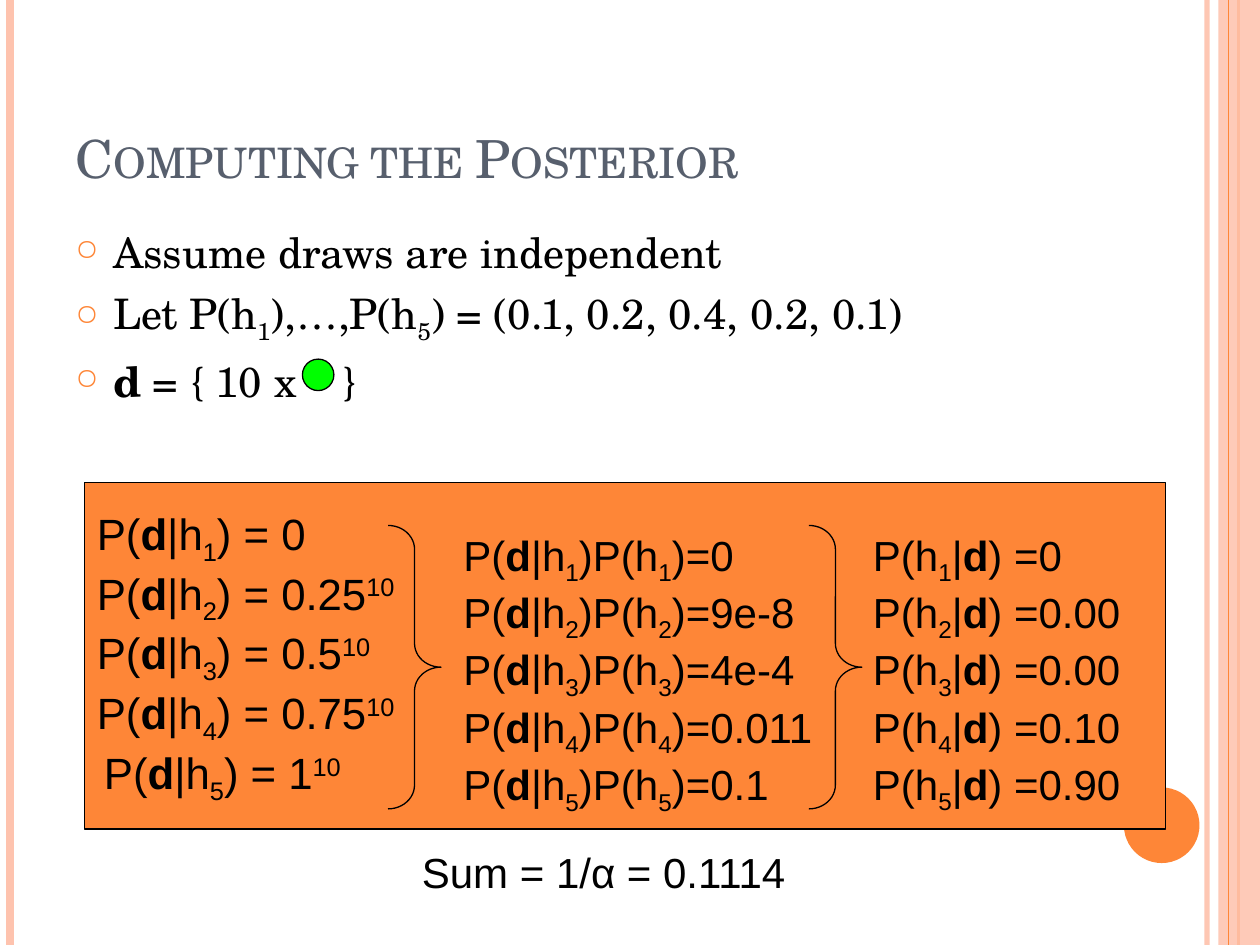
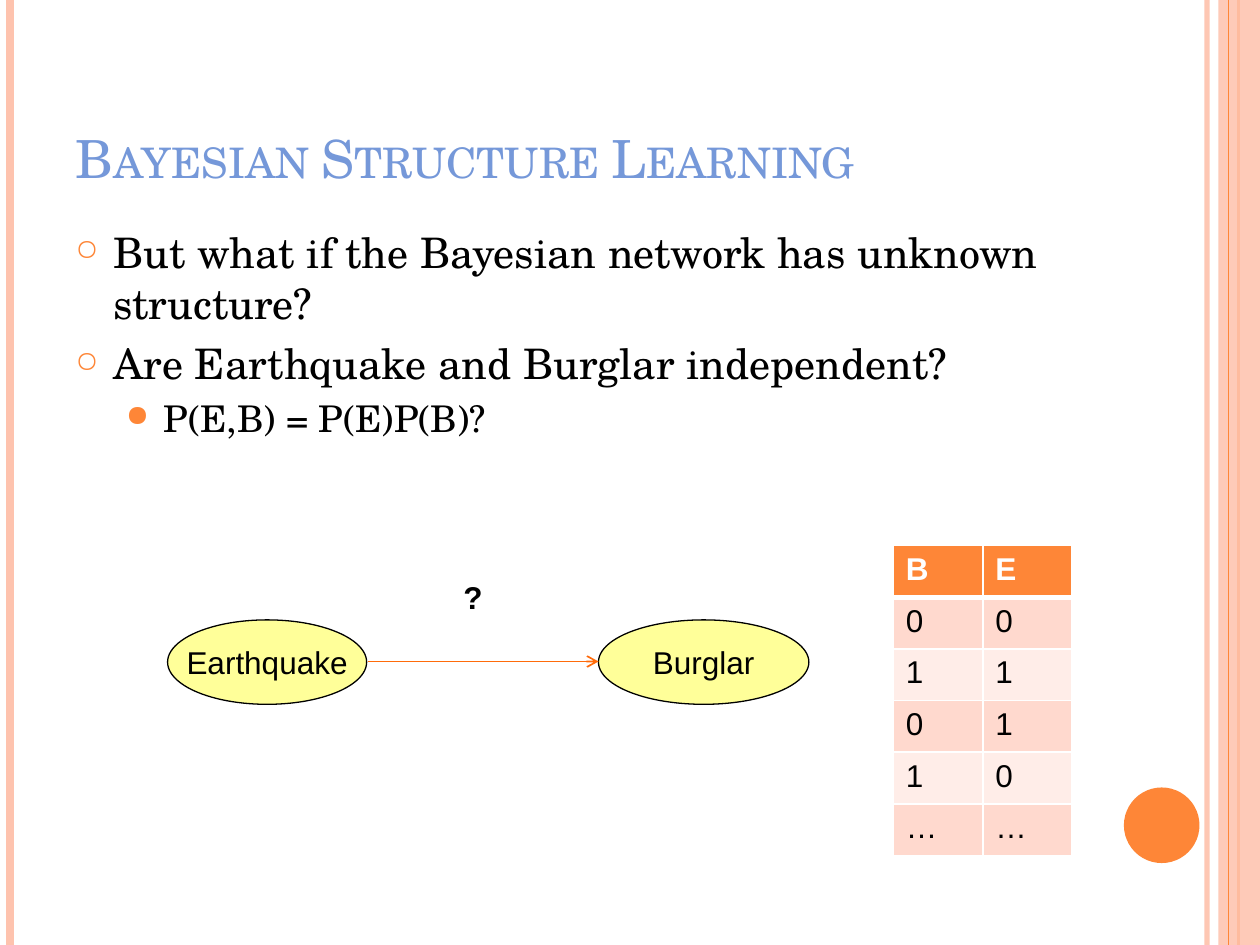
from dataclasses import dataclass

from lxml.etree import SubElement
from pptx import Presentation
from pptx.dml.color import RGBColor
from pptx.enum.shapes import MSO_CONNECTOR, MSO_SHAPE
from pptx.enum.text import MSO_ANCHOR, MSO_AUTO_SIZE, PP_ALIGN
from pptx.oxml.ns import qn
from pptx.util import Inches, Pt


@dataclass(frozen=True)
class Theme:
    heading_font: str = "TeX Gyre Schola"
    diagram_font: str = "Arial"
    orange: str = "FE8637"
    peach: str = "FEC3AE"
    arrow: str = "FF6B0A"
    slate: str = "575F6D"
    blue: str = "7598D9"
    green: str = "00FF00"
    yellow: str = "FFFF99"
    band_dark: str = "FFD9CE"
    band_light: str = "FFEDE8"
    black: str = "000000"
    white: str = "FFFFFF"
    title_size: float = 30
    body_size: float = 24
    sub_size: float = 21
    likelihood_size: float = 25
    label_size: float = 18
    outline: float = 0.75
    wide_space: int = 2000


THEME = Theme()
BASELINES = {"_": "-25000", "^": "30000"}


def color(value):
    return RGBColor.from_string(value)


def set_alpha(fill_parent, percent):
    """Make the solid fill below fill_parent partly transparent."""
    srgb = next(fill_parent.iter(qn("a:srgbClr")))
    SubElement(srgb, qn("a:alpha"), val=str(percent * 1000))


def split_markup(text):
    """Yield (piece, marks): * is bold, _ subscript, ^ superscript, ~ a wide space."""
    marks, piece = set(), ""
    for character in text:
        if character in "*_^":
            if piece:
                yield piece, frozenset(marks)
            piece = ""
            marks ^= {character}
        elif character in "~\n":
            if piece:
                yield piece, frozenset(marks)
            piece = ""
            yield character, frozenset(marks)
        else:
            piece += character
    if piece:
        yield piece, frozenset(marks)


def write_text(paragraph, text, size=THEME.body_size, font=THEME.diagram_font,
               fill=THEME.black, bold=False, small_caps=False,
               align=PP_ALIGN.LEFT):
    paragraph.alignment = align
    for piece, marks in split_markup(text):
        if piece == "\n":
            paragraph.add_line_break()
            continue
        run = paragraph.add_run()
        run.text = piece.replace("~", " ")
        run.font.name = font
        run.font.size = Pt(size)
        run.font.bold = bold or "*" in marks
        run.font.color.rgb = color(fill)
        properties = run.font._element
        if small_caps:
            properties.set("cap", "small")
        if piece == "~":
            properties.set("spc", str(THEME.wide_space))
        for mark in marks & BASELINES.keys():
            properties.set("baseline", BASELINES[mark])


def write_paragraphs(frame, texts, **text_format):
    for index, text in enumerate(texts):
        paragraph = frame.add_paragraph() if index else frame.paragraphs[0]
        write_text(paragraph, text, **text_format)


def set_bullet(paragraph, character, percent, left):
    properties = paragraph._p.get_or_add_pPr()
    properties.set("marL", str(Inches(left)))
    properties.set("indent", str(Inches(-0.3)))
    bullet_color = SubElement(properties, qn("a:buClr"))
    SubElement(bullet_color, qn("a:srgbClr"), val=THEME.orange)
    SubElement(properties, qn("a:buSzPct"), val=str(percent * 1000))
    SubElement(properties, qn("a:buChar"), char=character)


def set_cell_borders(cell, widths):
    properties = cell._tc.get_or_add_tcPr()
    for side, width in zip(("a:lnL", "a:lnR", "a:lnT", "a:lnB"), widths):
        border = SubElement(properties, qn(side), w=str(Pt(width)))
        fill = SubElement(border, qn("a:solidFill"))
        SubElement(fill, qn("a:srgbClr"), val=THEME.white)


class SlideBuilder:
    def __init__(self, presentation, theme):
        self.presentation = presentation
        self.theme = theme
        self.slide = None

    def start(self, title, title_color):
        layout = self.presentation.slide_layouts[5]
        self.slide = self.presentation.slides.add_slide(layout)
        self.side_bands()
        shape = self.slide.shapes.title
        shape.left, shape.top = Inches(0.5), Inches(0.3)
        shape.width, shape.height = Inches(8.17), Inches(1.25)
        frame = shape.text_frame
        frame.word_wrap = True
        frame.auto_size = MSO_AUTO_SIZE.NONE
        frame.vertical_anchor = MSO_ANCHOR.BOTTOM
        write_text(frame.paragraphs[0], title, size=self.theme.title_size,
                   font=self.theme.heading_font, fill=title_color,
                   small_caps=True)

    def side_bands(self):
        theme = self.theme
        inner = self.line(9.58, 0, 9.58, 7.5, theme.peach, 3)
        set_alpha(inner.line._ln, 93)
        self.line(0.08, 0, 0.08, 7.5, theme.peach, 4.5)
        self.line(9.83, 0, 9.83, 7.5, theme.orange, 1.5)
        band = self.shape(MSO_SHAPE.RECTANGLE, 9.67, 0, 0.33, 7.5,
                          theme.peach, outlined=False)
        set_alpha(band._element.spPr, 87)
        self.line(9.75, 0, 9.75, 7.5, theme.orange, 0.75)
        self.shape(MSO_SHAPE.OVAL, 8.92, 6.25, 0.6, 0.6, theme.orange,
                   outlined=False)

    def line(self, x1, y1, x2, y2, stroke, width, arrow=False):
        connector = self.slide.shapes.add_connector(
            MSO_CONNECTOR.STRAIGHT, Inches(x1), Inches(y1), Inches(x2), Inches(y2))
        connector.line.color.rgb = color(stroke)
        connector.line.width = Pt(width)
        if arrow:
            SubElement(connector.line._ln, qn("a:tailEnd"), type="arrow")
        SubElement(connector._element.spPr, qn("a:effectLst"))
        return connector

    def shape(self, kind, left, top, width, height, fill=None, outlined=True):
        shape = self.slide.shapes.add_shape(
            kind, Inches(left), Inches(top), Inches(width), Inches(height))
        shape.shadow.inherit = False
        if fill:
            shape.fill.solid()
            shape.fill.fore_color.rgb = color(fill)
        else:
            shape.fill.background()
        if outlined:
            shape.line.color.rgb = color(self.theme.black)
            shape.line.width = Pt(self.theme.outline)
        else:
            shape.line.fill.background()
        return shape

    def brace(self, left):
        brace = self.shape(MSO_SHAPE.RIGHT_BRACE, left, 4.17, 0.42, 2.25)
        brace.adjustments[0] = 0.45

    def node(self, label, left, width):
        node = self.shape(MSO_SHAPE.OVAL, left, 4.92, width, 0.67,
                          self.theme.yellow)
        frame = node.text_frame
        frame.word_wrap = False
        frame.vertical_anchor = MSO_ANCHOR.MIDDLE
        write_text(frame.paragraphs[0], label, size=self.theme.label_size,
                   align=PP_ALIGN.CENTER)

    def text_box(self, texts, left, top, width, height, **text_format):
        box = self.slide.shapes.add_textbox(
            Inches(left), Inches(top), Inches(width), Inches(height))
        box.text_frame.word_wrap = True
        write_paragraphs(box.text_frame, texts, **text_format)
        return box

    def bullets(self, items):
        """Add the body text from (level, text) pairs."""
        theme = self.theme
        frame = self.text_box([], 0.5, 1.75, 8.17, 5.33).text_frame
        for index, (level, text) in enumerate(items):
            paragraph = frame.add_paragraph() if index else frame.paragraphs[0]
            paragraph.level = level
            paragraph.space_before = Pt(4 if level else 6)
            write_text(paragraph, text, font=theme.heading_font,
                       size=theme.sub_size if level else theme.body_size)
            if level:
                set_bullet(paragraph, "●", 80, 0.7)
            else:
                set_bullet(paragraph, "○", 70, 0.3)

    def table(self, rows, left, top, column_width, row_height):
        theme = self.theme
        table = self.slide.shapes.add_table(
            len(rows), len(rows[0]), Inches(left), Inches(top),
            Inches(column_width * len(rows[0])),
            Inches(row_height * len(rows))).table
        for column in table.columns:
            column.width = Inches(column_width)
        for row_index, row in enumerate(rows):
            header = row_index == 0
            band = theme.band_dark if row_index % 2 else theme.band_light
            for column_index, text in enumerate(row):
                cell = table.cell(row_index, column_index)
                set_cell_borders(cell, (1, 1, 3 if row_index == 1 else 1,
                                        3 if header else 1))
                cell.fill.solid()
                cell.fill.fore_color.rgb = color(theme.orange if header else band)
                write_text(cell.text_frame.paragraphs[0], text,
                           size=theme.label_size, bold=header,
                           fill=theme.white if header else theme.black)


def build_posterior(builder):
    theme = builder.theme
    builder.start("Computing the Posterior", theme.slate)
    builder.bullets([
        (0, "Assume draws are independent"),
        (0, "Let P(h_1_),…,P(h_5_) = (0.1, 0.2, 0.4, 0.2, 0.1)"),
        (0, "*d* = { 10 x~}"),
    ])
    builder.shape(MSO_SHAPE.OVAL, 2.4, 2.85, 0.25, 0.25, theme.green)

    likelihoods = ["0", "0.25^10^", "0.5^10^", "0.75^10^", "1^10^"]
    joints = ["0", "9e-8", "4e-4", "0.011", "0.1"]
    posteriors = ["0", "0.00", "0.00", "0.10", "0.90"]
    likelihood_lines = [f"P(*d*|h_{number}_) = {value}"
                        for number, value in enumerate(likelihoods, 1)]
    likelihood_lines[-1] = "^ ^" + likelihood_lines[-1]
    joint_lines = [f"P(*d*|h_{number}_)P(h_{number}_)={value}"
                   for number, value in enumerate(joints, 1)]
    posterior_lines = [f"P(h_{number}_|*d*) ={value}"
                       for number, value in enumerate(posteriors, 1)]

    panel = builder.shape(MSO_SHAPE.RECTANGLE, 0.67, 3.83, 8.58, 2.75, theme.orange)
    panel.text_frame.word_wrap = True
    panel.text_frame.vertical_anchor = MSO_ANCHOR.MIDDLE
    write_paragraphs(panel.text_frame, likelihood_lines, size=theme.likelihood_size)
    builder.brace(3.08)
    builder.text_box(["\n".join(joint_lines)], 3.58, 4.15, 3.92, 2.12)
    builder.brace(6.42)
    builder.text_box(["\n".join(posterior_lines)], 6.83, 4.15, 3.5, 2.1)
    builder.text_box(["Sum = 1/α = 0.1114"], 3.25, 6.67, 3.17, 0.5)


def build_structure_learning(builder):
    theme = builder.theme
    builder.start("Bayesian Structure Learning", theme.blue)
    builder.bullets([
        (0, "But what if the Bayesian network has unknown structure?"),
        (0, "Are Earthquake and Burglar independent?"),
        (1, "P(E,B) = P(E)P(B)?"),
    ])
    builder.node("Earthquake", 1.33, 1.58)
    builder.node("Burglar", 4.75, 1.67)
    builder.line(2.92, 5.25, 4.75, 5.25, theme.arrow, 1, arrow=True)
    builder.text_box(["?"], 3.58, 4.54, 0.92, 0.4, size=theme.label_size, bold=True)
    builder.table(["BE", "00", "11", "01", "10", "……"], 7.09, 4.33, 0.71, 0.41)


def main():
    presentation = Presentation()
    presentation.slide_width = Inches(10)
    presentation.slide_height = Inches(7.5)
    builder = SlideBuilder(presentation, THEME)
    build_posterior(builder)
    build_structure_learning(builder)
    presentation.save("out.pptx")


if __name__ == "__main__":
    main()
